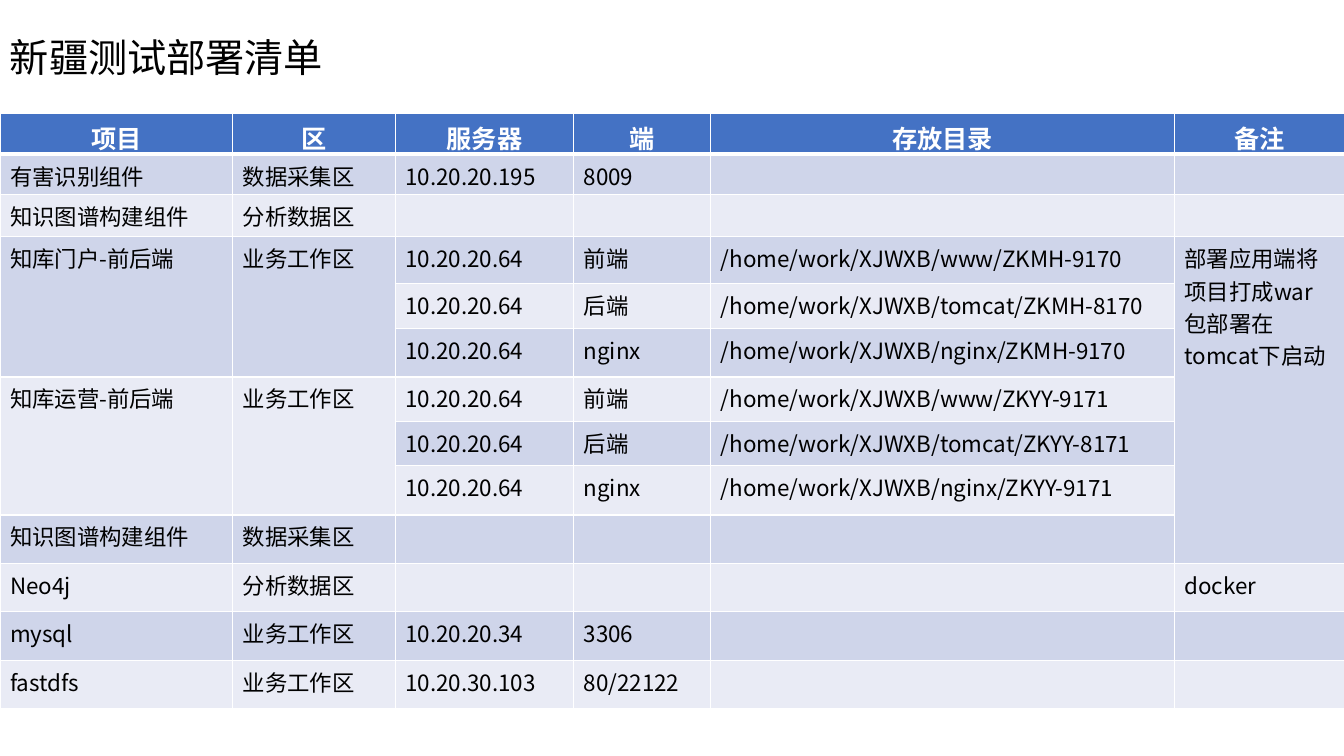
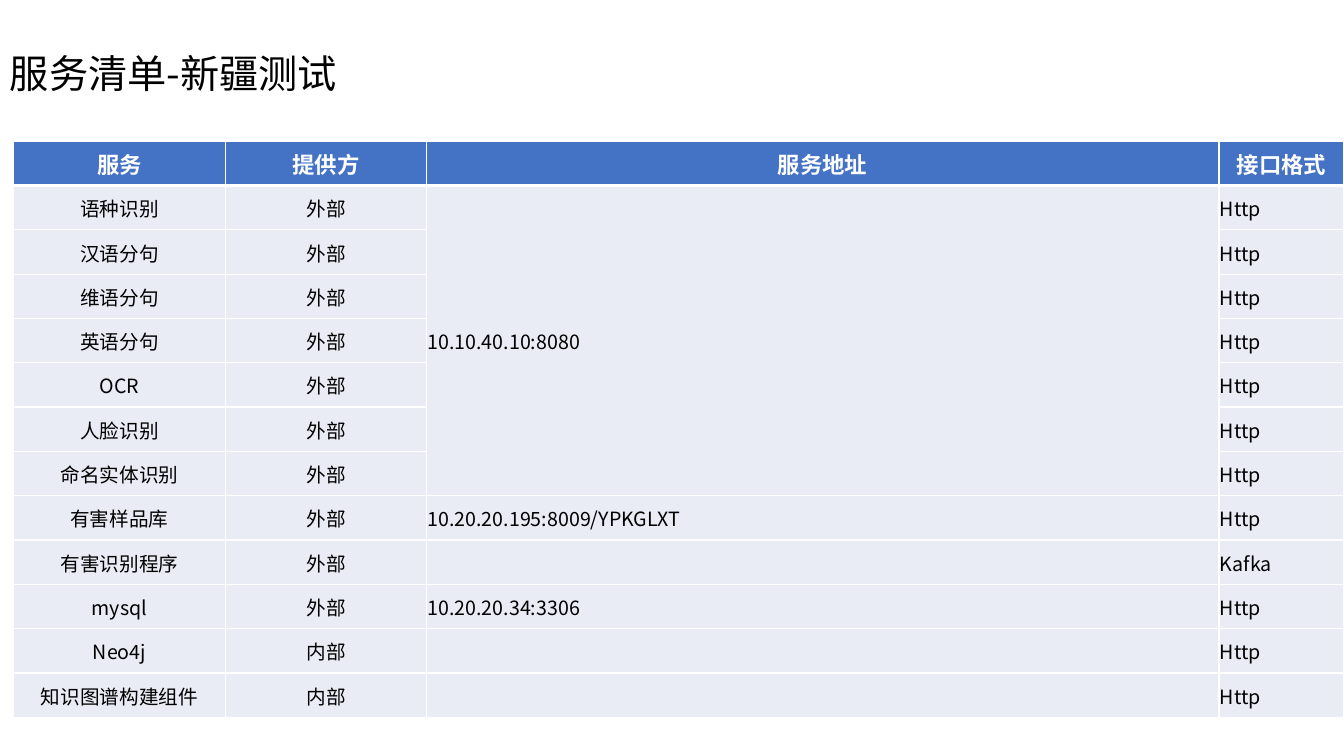
from lxml import etree
from pptx import Presentation
from pptx.dml.color import RGBColor
from pptx.enum.text import MSO_ANCHOR, PP_ALIGN
from pptx.oxml.ns import qn
from pptx.util import Inches, Pt

CENTER, LEFT = PP_ALIGN.CENTER, PP_ALIGN.LEFT
TOP, MIDDLE, BOTTOM = MSO_ANCHOR.TOP, MSO_ANCHOR.MIDDLE, MSO_ANCHOR.BOTTOM
FONT = "Noto Sans CJK SC"
BLACK, WHITE, HEADER = "000000", "FFFFFF", "4472C4"
DARK_BAND, LIGHT_BAND = "CFD5EA", "E9EBF5"
DEFAULT_MARGINS = (0.1, 0.05, 0.1, 0.05)
TIGHT_MARGINS = (0.01, 0.01, 0.01, 0)
THIN, THICK = 1, 3

PORTAL_NOTE = "部署应用端将项目打成war包部署在tomcat下启动"
WORK_HOST = "10.20.20.64"


def color(value):
    return RGBColor.from_string(value)


def application_rows(name, code, port, note=""):
    tiers = [
        ("前端", f"www/{code}-9{port}"),
        ("后端", f"tomcat/{code}-8{port}"),
        ("nginx", f"nginx/{code}-9{port}"),
    ]
    rows = [["", "", WORK_HOST, tier, f"/home/work/XJWXB/{folder}", ""] for tier, folder in tiers]
    rows[0][:2] = [name, "业务工作区"]
    rows[0][5] = note
    return rows


DEPLOYMENTS = [
    ["项目", "区", "服务器", "端", "存放目录", "备注"],
    ["有害识别组件", "数据采集区", "10.20.20.195", "8009", "", ""],
    ["知识图谱构建组件", "分析数据区", "", "", "", ""],
    *application_rows("知库门户-前后端", "ZKMH", "170", PORTAL_NOTE),
    *application_rows("知库运营-前后端", "ZKYY", "171"),
    ["知识图谱构建组件", "数据采集区", "", "", "", ""],
    ["Neo4j", "分析数据区", "", "", "", "docker"],
    ["mysql", "业务工作区", "10.20.20.34", "3306", "", ""],
    ["fastdfs", "业务工作区", "10.20.30.103", "80/22122", "", ""],
]

SERVICES = [
    ["服务", "提供方", "服务地址", "接口格式"],
    ["语种识别", "外部", "10.10.40.10:8080", "Http"],
    ["汉语分句", "外部", "", "Http"],
    ["维语分句", "外部", "", "Http"],
    ["英语分句", "外部", "", "Http"],
    ["OCR", "外部", "", "Http"],
    ["人脸识别", "外部", "", "Http"],
    ["命名实体识别", "外部", "", "Http"],
    ["有害样品库", "外部", "10.20.20.195:8009/YPKGLXT", "Http"],
    ["有害识别程序", "外部", "", "Kafka"],
    ["mysql", "外部", "10.20.20.34:3306", "Http"],
    ["Neo4j", "内部", "", "Http"],
    ["知识图谱构建组件", "内部", "", "Http"],
]


class Slides:
    def __init__(self):
        self.deck = Presentation()
        self.deck.slide_width = Inches(13.33)
        self.deck.slide_height = Inches(7.5)
        self.page = None

    def add_page(self, title, top):
        self.page = self.deck.slides.add_slide(self.deck.slide_layouts[6])
        box = self.page.shapes.add_textbox(0, Inches(top), Inches(13.33), Inches(0.71))
        frame = box.text_frame
        frame.word_wrap = True
        frame.vertical_anchor = BOTTOM
        para = frame.paragraphs[0]
        para.line_spacing = 0.9
        self.set_text(para, title, 28)

    def set_text(self, para, text, size, fill=BLACK, bold=False):
        font = para.font
        font.name, font.size, font.bold = FONT, Pt(size), bold
        font.color.rgb = color(fill)
        defaults = para._p.pPr.find(qn("a:defRPr"))
        etree.SubElement(defaults, qn("a:ea"), typeface=FONT)
        if text:
            para.add_run().text = text
        else:
            etree.SubElement(para._p, qn("a:endParaRPr"), sz=str(size * 100))

    def border(self, cell, top, bottom):
        properties = cell._tc.get_or_add_tcPr()
        for side, width in (("L", THIN), ("R", THIN), ("T", top), ("B", bottom)):
            line = etree.SubElement(properties, qn(f"a:ln{side}"), w=str(Pt(width)))
            solid = etree.SubElement(line, qn("a:solidFill"))
            etree.SubElement(solid, qn("a:srgbClr"), val=WHITE)

    def add_grid(self, left, top, widths, heights, rows, sizes, bands, merges,
                 margins=DEFAULT_MARGINS, anchor=TOP, centered=()):
        table = self.page.shapes.add_table(
            len(rows), len(widths), Inches(left), Inches(top),
            Inches(sum(widths)), Inches(sum(heights))).table
        table.horz_banding = False
        for column, width in zip(table.columns, widths):
            column.width = Inches(width)
        for row, height in zip(table.rows, heights):
            row.height = Inches(height)
        header_size, body_size = sizes
        for r, values in enumerate(rows):
            header = r == 0
            for c, text in enumerate(values):
                cell = table.cell(r, c)
                self.border(cell, THICK if r == 1 else THIN, THICK if header else THIN)
                cell.fill.solid()
                cell.fill.fore_color.rgb = color(HEADER if header else bands[(r - 1) % len(bands)])
                cell.vertical_anchor = anchor
                (cell.margin_left, cell.margin_top,
                 cell.margin_right, cell.margin_bottom) = map(Inches, margins)
                para = cell.text_frame.paragraphs[0]
                para.alignment = CENTER if header or c in centered else LEFT
                self.set_text(para, text, header_size if header else body_size,
                              WHITE if header else BLACK, header)
        for first, last, c in merges:
            table.cell(first, c).merge(table.cell(last, c))


def main():
    slides = Slides()

    slides.add_page("新疆测试部署清单", 0.14)
    slides.add_grid(
        0, 1.13, [2.31, 1.61, 1.77, 1.36, 4.6, 1.69],
        [0.4, 0.4, 0.42, 0.46, 0.45, 0.48, 0.44, 0.44, 0.49] + [0.48] * 4,
        DEPLOYMENTS, (18, 16), (DARK_BAND, LIGHT_BAND),
        [(3, 5, 0), (3, 5, 1), (6, 8, 0), (6, 8, 1), (3, 9, 5)])

    slides.add_page("服务清单-新疆测试", 0.3)
    slides.add_grid(
        0.13, 1.4, [2.11, 1.99, 7.86, 1.24], [0.44] * len(SERVICES),
        SERVICES, (16, 14), (LIGHT_BAND,), [(1, 7, 2)],
        TIGHT_MARGINS, MIDDLE, centered=(0, 1))

    slides.deck.save("out.pptx")


if __name__ == "__main__":
    main()
